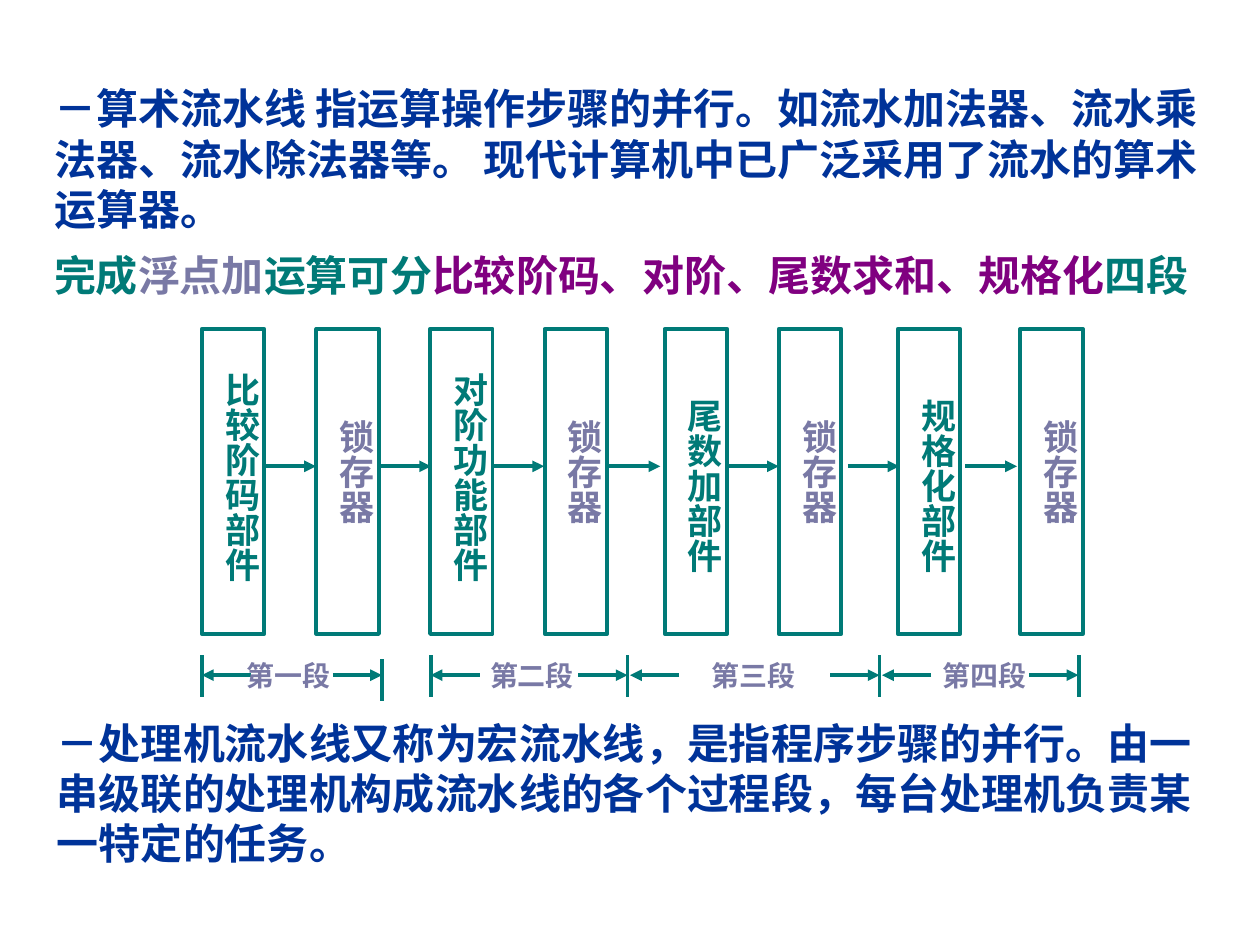
from dataclasses import dataclass

from pptx import Presentation
from pptx.dml.color import RGBColor
from pptx.enum.shapes import MSO_CONNECTOR as Conn, MSO_SHAPE as Shape
from pptx.enum.text import MSO_ANCHOR as Anchor, MSO_AUTO_SIZE as AutoSize, PP_ALIGN as Align
from pptx.oxml.ns import qn
from pptx.util import Cm, Pt

TEAL, LILAC, NAVY, PURPLE = "007A77", "7979A5", "003399", "800080"
SERIF = "Times New Roman"
BOX_TOP, BOX_W, BOX_H = 6.63, 1.26, 6.15
FLOW_Y, FLOW_LEN = 9.4, 1.04
FLOW_STARTS = [5.33, 7.65, 9.93, 12.27, 14.66, 17.09, 19.46]
TICK_TOP, TICK_H = 13.21, 0.84
SPAN_Y, SPAN_LEN = 13.61, 0.99


@dataclass
class Stage:
    unit: str
    unit_x: float
    unit_text_top: float
    latch_x: float
    label: str
    label_x: float
    start: float
    end: float


STAGES = [
    Stage("比较阶码部件", 4.07, 7.26, 6.38, "第一段", 4.72, 4.07, 7.7),
    Stage("对阶功能部件", 8.67, 7.26, 10.98, "第二段", 9.63, 8.68, 12.65),
    Stage("尾数加部件", 13.4, 7.78, 15.7, "第三段", 14.1, 12.7, 17.73),
    Stage("规格化部件", 18.1, 7.78, 20.57, "第四段", 18.75, 17.78, 21.74),
]
TICKS = [(4.07, 0), (7.7, 0.08), (8.68, 0), (12.65, 0), (17.73, 0), (21.76, 0)]


def rgb(color: str) -> RGBColor:
    return RGBColor.from_string(color)


def write(tf, runs: list[tuple[str, str]], size: float, font: str, spacing: float = 1) -> None:
    p = tf.paragraphs[0]
    p.alignment = Align.LEFT
    p.space_before = Pt(0)
    p.line_spacing = Pt(round(size * 1.2 * spacing, 1))
    p.font.size = Pt(size)
    p.font.name = font
    p.font.bold = True
    for text, color in runs:
        r = p.add_run()
        r.text = text
        r.font.color.rgb = rgb(color)


def add_text(s, x: float, y: float, w: float, h: float, margins: tuple[float, float],
             wrap: bool = False, grow: bool = True, anchor=Anchor.TOP):
    tf = s.shapes.add_textbox(Cm(x), Cm(y), Cm(w), Cm(h)).text_frame
    tf.margin_left = tf.margin_right = Cm(margins[0])
    tf.margin_top = tf.margin_bottom = Cm(margins[1])
    tf.word_wrap = wrap
    tf.auto_size = AutoSize.SHAPE_TO_FIT_TEXT if grow else AutoSize.NONE
    tf.vertical_anchor = anchor
    return tf


def add_line(s, x1: float, y1: float, x2: float, y2: float, arrow: bool = False) -> None:
    line = s.shapes.add_connector(Conn.STRAIGHT, Cm(x1), Cm(y1), Cm(x2), Cm(y2))
    line.line.color.rgb = rgb(TEAL)
    line.line.width = Pt(2.25)
    if arrow:
        ln = line.line._get_or_add_ln()
        ln.append(ln.makeelement(qn("a:tailEnd"), {"type": "triangle"}))
    sp_pr = line._element.spPr
    sp_pr.append(sp_pr.makeelement(qn("a:effectLst"), {}))


def add_block(s, x: float, text: str, text_top: float, color: str) -> None:
    tf = add_text(s, x, text_top, 1.35, 0.71 * len(text) + 0.52, (0.13, 0.25))
    tf._txBody.bodyPr.set("vert", "eaVert")
    write(tf, [(text, color)], 20, SERIF)
    box = s.shapes.add_shape(Shape.RECTANGLE, Cm(x), Cm(BOX_TOP), Cm(BOX_W), Cm(BOX_H))
    box.shadow.inherit = False
    box.fill.background()
    box.line.color.rgb = rgb(TEAL)
    box.line.width = Pt(2.25)


def add_stage(s, stage: Stage) -> None:
    add_block(s, stage.unit_x, stage.unit, stage.unit_text_top, TEAL)
    add_block(s, stage.latch_x, "锁存器", 8.21, LILAC)
    add_line(s, stage.start + SPAN_LEN, SPAN_Y, stage.start, SPAN_Y, True)
    add_line(s, stage.end - SPAN_LEN, SPAN_Y, stage.end, SPAN_Y, True)
    tf = add_text(s, stage.label_x, 13.15, 2.4, 0.94, (0.25, 0.13), grow=False)
    write(tf, [(stage.label, LILAC)], 16, SERIF)


def fill_body(s) -> None:
    title = s.shapes.title._element
    title.getparent().remove(title)
    body = s.placeholders[1]
    body.left, body.top, body.width, body.height = Cm(0.84), Cm(1.54), Cm(23.72), Cm(3.4)
    tf = body.text_frame
    tf.word_wrap = True
    tf.auto_size = AutoSize.NONE
    tf.vertical_anchor = Anchor.TOP
    p_pr = tf.paragraphs[0]._p.get_or_add_pPr()
    p_pr.set("marL", "0")
    p_pr.set("indent", "0")
    p_pr.append(p_pr.makeelement(qn("a:buNone"), {}))
    text = ("－算术流水线 指运算操作步骤的并行。如流水加法器、流水乘法器、流水除法器等。 "
            "现代计算机中已广泛采用了流水的算术运算器。")
    write(tf, [(text, NAVY)], 24, "Noto Sans CJK SC")


def main() -> None:
    prs = Presentation()
    prs.slide_width, prs.slide_height = Cm(25.4), Cm(19.05)
    s = prs.slides.add_slide(prs.slide_layouts[1])
    fill_body(s)

    tf = add_text(s, 1.09, 4.49, 23.22, 1.6, (0, 0.13), grow=False, anchor=Anchor.MIDDLE)
    write(tf, [("完成", TEAL), ("浮点加", LILAC), ("运算可分", TEAL),
               ("比较阶码、对阶、尾数求和、规格化", PURPLE), ("四段", TEAL)], 24, SERIF, 1.5)

    for stage in STAGES:
        add_stage(s, stage)
    for x in FLOW_STARTS:
        add_line(s, x, FLOW_Y, x + FLOW_LEN, FLOW_Y, True)
    for x, drop in TICKS:
        add_line(s, x, TICK_TOP + drop, x, TICK_TOP + drop + TICK_H)

    tf = add_text(s, 0.9, 14.33, 23.5, 3.3, (0.25, 0.13), wrap=True, anchor=Anchor.MIDDLE)
    text = ("－处理机流水线又称为宏流水线，是指程序步骤的并行。由一串级联的处理机构成"
            "流水线的各个过程段，每台处理机负责某一特定的任务。")
    write(tf, [(text, NAVY)], 24, "Arial")

    prs.save("out.pptx")


if __name__ == "__main__":
    main()
